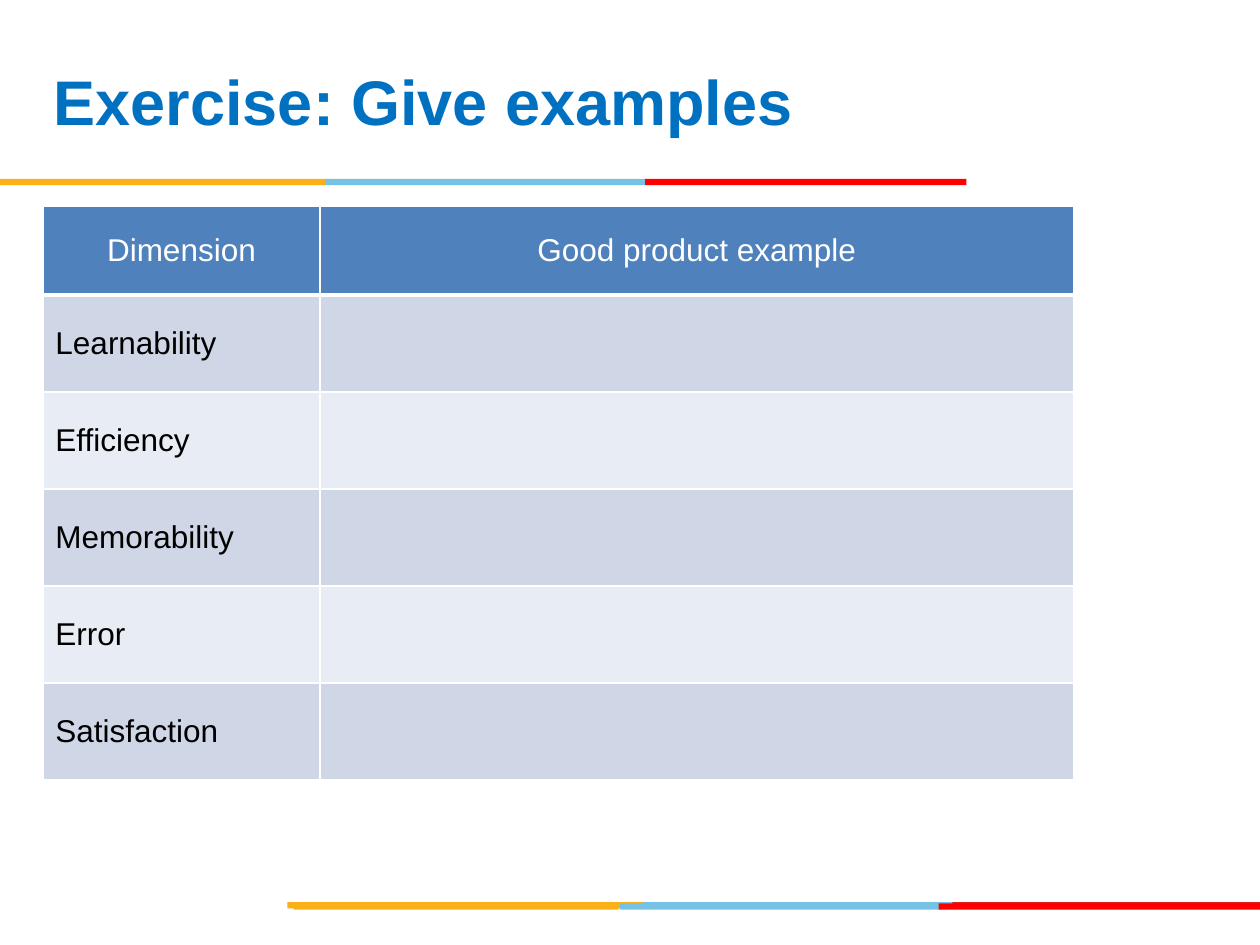
import pptx
import pptx.dml.color
import pptx.enum.shapes
import pptx.enum.text
import pptx.oxml
import pptx.oxml.ns
import pptx.util
from pptx.util import Inches

RGBColor = pptx.dml.color.RGBColor
ORANGE = RGBColor(0xFC, 0xB0, 0x17)
SKY = RGBColor(0x76, 0xC2, 0xE5)
CRIMSON = RGBColor(0xE3, 0x1C, 0x24)
RED = RGBColor(0xFF, 0x00, 0x00)
TITLE_BLUE = RGBColor(0x00, 0x70, 0xC0)
HEADER_BLUE = RGBColor(0x4F, 0x81, 0xBD)
BAND_DARK = RGBColor(0xCF, 0xD7, 0xE7)
BAND_LIGHT = RGBColor(0xE8, 0xEC, 0xF4)
WHITE = RGBColor(0xFF, 0xFF, 0xFF)
BLACK = RGBColor(0x00, 0x00, 0x00)

STRIPES = [
    (7.16, [(5.06, 2.55, SKY), (7.56, 2.44, CRIMSON), (2.28, 2.82, ORANGE)]),
    (7.17, [(4.92, 2.55, SKY), (2.33, 2.58, ORANGE), (7.45, 2.55, RED)]),
    (1.42, [(2.58, 2.55, SKY), (0, 2.58, ORANGE), (5.12, 2.55, RED)]),
]
HEADERS = ["Dimension", "Good product example"]
DIMENSIONS = ["Learnability", "Efficiency", "Memorability", "Error", "Satisfaction"]
COLUMN_WIDTHS = [2.2, 5.98]
HEADER_HEIGHT = 0.7
ROW_HEIGHT = 0.77


def add_stripe(slide, top, segments):
    """Draw one stripe made of coloured segments."""
    for left, width, color in segments:
        shape = slide.shapes.add_shape(
            pptx.enum.shapes.MSO_SHAPE.RECTANGLE,
            Inches(left), Inches(top), Inches(width), Inches(0.05))
        shape.shadow.inherit = False
        shape.fill.solid()
        shape.fill.fore_color.rgb = color
        shape.line.fill.background()


def format_font(font, size, color):
    """Apply the slide font with a size and a colour."""
    font.name = "Arial"
    font.size = pptx.util.Pt(size)
    font.color.rgb = color


def add_title(slide, text):
    """Add the slide heading."""
    box = slide.shapes.add_textbox(Inches(0.33), Inches(0.17), Inches(6.92), Inches(1.25))
    frame = box.text_frame
    frame.word_wrap = True
    frame.vertical_anchor = pptx.enum.text.MSO_ANCHOR.MIDDLE
    frame.text = text
    font = frame.paragraphs[0].runs[0].font
    format_font(font, 36, TITLE_BLUE)
    font.bold = True


def set_borders(cell, top, bottom):
    """Give a cell white borders, with top and bottom widths in points."""
    properties = cell._tc.get_or_add_tcPr()
    for side, width in (("L", 1), ("R", 1), ("T", top), ("B", bottom)):
        properties.append(pptx.oxml.parse_xml(
            f'<a:ln{side} {pptx.oxml.ns.nsdecls("a")} w="{pptx.util.Pt(width)}">'
            f'<a:solidFill><a:srgbClr val="{WHITE}"/></a:solidFill></a:ln{side}>'))


def fill_cell(cell, text, fill, color, alignment):
    """Set the fill and the text of a cell."""
    cell.fill.solid()
    cell.fill.fore_color.rgb = fill
    cell.vertical_anchor = pptx.enum.text.MSO_ANCHOR.MIDDLE
    paragraph = cell.text_frame.paragraphs[0]
    paragraph.text = text
    paragraph.alignment = alignment
    format_font(paragraph.font, 18, color)
    for run in paragraph.runs:
        format_font(run.font, 18, color)


def add_dimension_table(slide):
    """Add the table of usability dimensions."""
    rows = [HEADERS] + [[dimension, ""] for dimension in DIMENSIONS]
    height = HEADER_HEIGHT + ROW_HEIGHT * len(DIMENSIONS)
    table = slide.shapes.add_table(
        len(rows), len(HEADERS), Inches(0.34), Inches(1.64),
        Inches(sum(COLUMN_WIDTHS)), Inches(height)).table
    for column, width in zip(table.columns, COLUMN_WIDTHS):
        column.width = Inches(width)
    align = pptx.enum.text.PP_ALIGN
    for row_index, texts in enumerate(rows):
        is_header = row_index == 0
        table.rows[row_index].height = Inches(HEADER_HEIGHT if is_header else ROW_HEIGHT)
        band = BAND_DARK if row_index % 2 else BAND_LIGHT
        for column_index, text in enumerate(texts):
            cell = table.cell(row_index, column_index)
            set_borders(cell, 3 if row_index == 1 else 1, 3 if is_header else 1)
            if is_header:
                fill_cell(cell, text, HEADER_BLUE, WHITE, align.CENTER)
            else:
                fill_cell(cell, text, band, BLACK, align.LEFT)


def main():
    """Build and save the slide."""
    presentation = pptx.Presentation()
    presentation.slide_width = Inches(10)
    presentation.slide_height = Inches(7.5)
    slide = presentation.slides.add_slide(presentation.slide_layouts[6])
    for top, segments in STRIPES:
        add_stripe(slide, top, segments)
    add_dimension_table(slide)
    add_title(slide, "Exercise: Give examples")
    presentation.save("out.pptx")


if __name__ == "__main__":
    main()
